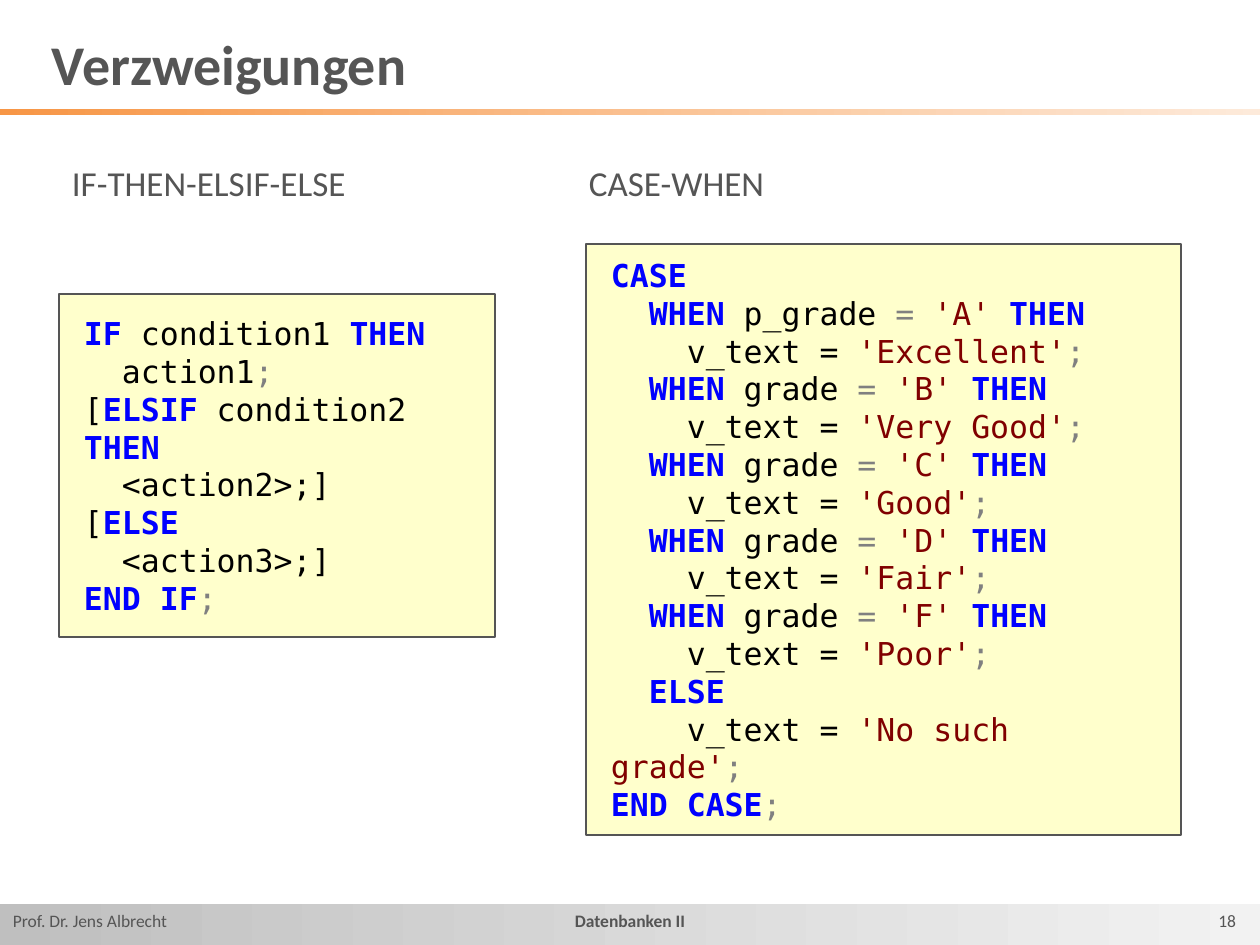
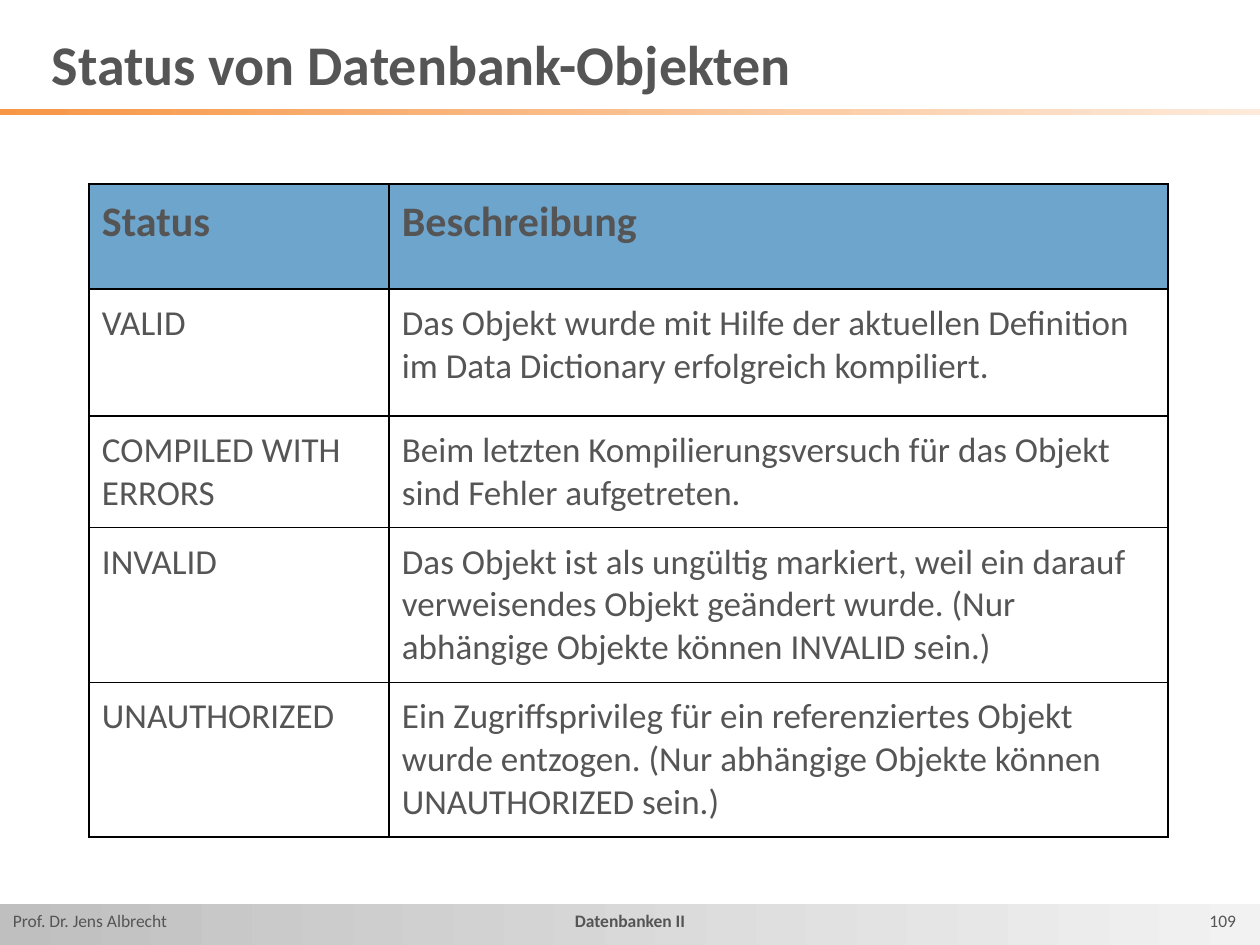
from lxml import etree
from pptx import Presentation
from pptx import util as u
from pptx.dml.color import RGBColor
from pptx.enum import shapes, text
from pptx.oxml import ns

PX_PER_INCH = 126
SLIDE_WIDTH, SLIDE_HEIGHT = 1260, 945

GREY, BLACK = "555555", "000000"
CODE_FILL, HEADER_FILL = "FFFFCC", "6EA5CC"
RULE_GRADIENT = ("F79646", "FDEADA")
FOOTER_GRADIENT = ("BFBFBF", "F2F2F2")
BODY_FONT, CODE_FONT = "Calibri", "DejaVu Sans Mono"

AUTHOR, COURSE = "Prof. Dr. Jens Albrecht", "Datenbanken II"
FOOTER_TABS = ((617, "ctr"), (1223, "r"))

PLAIN = {"color": BLACK}
KEYWORD = {"color": "0000FF", "bold": True}
STRING = {"color": "800000"}
SYMBOL = {"color": "808080"}

BRANCHES = {
    "title": "Verzweigungen",
    "number": 18,
    "if_label": "IF-THEN-ELSIF-ELSE",
    "case_label": "CASE-WHEN",
    "if_code": [
        [("IF", KEYWORD), (" condition1 ", PLAIN), ("THEN", KEYWORD)],
        [("  action1", PLAIN), (";", SYMBOL)],
        [("[", PLAIN), ("ELSIF", KEYWORD), (" condition2 ", PLAIN), ("THEN", KEYWORD)],
        [("  <action2>;]", PLAIN)],
        [("[", PLAIN), ("ELSE", KEYWORD)],
        [("  <action3>;]", PLAIN)],
        [("END IF", KEYWORD), (";", SYMBOL)],
    ],
    "grades": [
        ("p_grade", "A", "Excellent"),
        ("grade", "B", "Very Good"),
        ("grade", "C", "Good"),
        ("grade", "D", "Fair"),
        ("grade", "F", "Poor"),
    ],
    "fallback": "No such grade",
}

OBJECT_STATUS = {
    "title": "Status von Datenbank-Objekten",
    "number": 109,
    "rows": [
        ("Status", "Beschreibung"),
        ("VALID", "Das Objekt wurde mit Hilfe der aktuellen Definition im Data "
                  "Dictionary erfolgreich kompiliert."),
        ("COMPILED WITH ERRORS", "Beim letzten Kompilierungsversuch für das Objekt "
                                 "sind Fehler aufgetreten."),
        ("INVALID", "Das Objekt ist als ungültig markiert, weil ein darauf verweisendes "
                    "Objekt geändert wurde. (Nur abhängige Objekte können INVALID sein.)"),
        ("UNAUTHORIZED", "Ein Zugriffsprivileg für ein referenziertes Objekt wurde entzogen. "
                         "(Nur abhängige Objekte können UNAUTHORIZED sein.)"),
    ],
    "column_widths": (300, 779),
    "row_heights": (105, 127, 111, 154, 154),
}


def px(length):
    return u.Emu(round(length * u.Inches(1) / PX_PER_INCH))


def box(*lengths):
    return [px(length) for length in lengths]


def rgb(color):
    return RGBColor.from_string(color)


def write(frame, lines, size=20, font=BODY_FONT, color=GREY, bold=False,
          margins=(13, 6, 13, 6), anchor=text.MSO_ANCHOR.TOP, wrap=True):
    frame.word_wrap = wrap
    frame.vertical_anchor = anchor
    (frame.margin_left, frame.margin_top,
     frame.margin_right, frame.margin_bottom) = box(*margins)
    if isinstance(lines, str):
        lines = [[(lines, {})]]
    for index, line in enumerate(lines):
        paragraph = frame.add_paragraph() if index else frame.paragraphs[0]
        paragraph.alignment = text.PP_ALIGN.LEFT
        for words, style in line:
            run = paragraph.add_run()
            run.text = words
            run.font.size = u.Pt(size)
            run.font.name = font
            run.font.bold = style.get("bold", bold)
            run.font.color.rgb = rgb(style.get("color", color))


def add_rectangle(slide, bounds):
    rectangle = slide.shapes.add_shape(shapes.MSO_SHAPE.RECTANGLE, *box(*bounds))
    rectangle.shadow.inherit = False
    return rectangle


def add_band(slide, top, height, gradient):
    band = add_rectangle(slide, (0, top, SLIDE_WIDTH, height))
    band.line.fill.background()
    band.fill.gradient()
    band.fill.gradient_angle = 0
    for stop, color, position in zip(band.fill.gradient_stops, gradient, (0, 1)):
        stop.color.rgb = rgb(color)
        stop.position = position
    return band


def add_tabs(paragraph, tabs):
    tab_list = etree.SubElement(paragraph._p.get_or_add_pPr(), ns.qn("a:tabLst"))
    for position, alignment in tabs:
        etree.SubElement(tab_list, ns.qn("a:tab"), pos=str(px(position)), algn=alignment)


def add_slide(deck, content):
    slide = deck.slides.add_slide(deck.slide_layouts.get_by_name("Title Only"))
    footer = add_band(slide, 904, 41, FOOTER_GRADIENT)
    write(footer.text_frame,
          [[(f"{AUTHOR}\t", {}), (f"{COURSE}\t", {"bold": True}),
            (str(content["number"]), {})]], size=10)
    add_tabs(footer.text_frame.paragraphs[0], FOOTER_TABS)
    add_band(slide, 109, 6, RULE_GRADIENT)

    title = slide.shapes.title
    title.left, title.top, title.width, title.height = box(39, 21, 1017, 85)
    title.text_frame.auto_size = text.MSO_AUTO_SIZE.NONE
    write(title.text_frame, content["title"], size=32, bold=True,
          anchor=text.MSO_ANCHOR.MIDDLE)
    return slide


def add_label(slide, label, bounds):
    heading = slide.shapes.add_textbox(*box(*bounds))
    write(heading.text_frame, label, wrap=False)
    heading.text_frame.auto_size = text.MSO_AUTO_SIZE.SHAPE_TO_FIT_TEXT


def add_code(slide, code, bounds):
    listing = add_rectangle(slide, bounds)
    listing.fill.solid()
    listing.fill.fore_color.rgb = rgb(CODE_FILL)
    listing.line.color.rgb = rgb(GREY)
    listing.line.width = u.Pt(0.75)
    write(listing.text_frame, code, size=18, font=CODE_FONT,
          margins=(25, 13, 25, 13), anchor=text.MSO_ANCHOR.MIDDLE)


def assignment(value):
    return [("    v_text = ", PLAIN), (f"'{value}'", STRING), (";", SYMBOL)]


def case_code(grades, fallback):
    code = [[("CASE", KEYWORD)]]
    for variable, grade, meaning in grades:
        code.append([("  ", PLAIN), ("WHEN", KEYWORD), (f" {variable} ", PLAIN),
                     ("= ", SYMBOL), (f"'{grade}' ", STRING), ("THEN", KEYWORD)])
        code.append(assignment(meaning))
    code.append([("  ", PLAIN), ("ELSE", KEYWORD)])
    code.append(assignment(fallback))
    code.append([("END CASE", KEYWORD), (";", SYMBOL)])
    return code


def add_borders(cell):
    properties = cell._tc.get_or_add_tcPr()
    for side in ("lnL", "lnR", "lnT", "lnB"):
        border = etree.SubElement(properties, ns.qn(f"a:{side}"), w=str(u.Pt(1)))
        fill = etree.SubElement(border, ns.qn("a:solidFill"))
        etree.SubElement(fill, ns.qn("a:srgbClr"), val=BLACK)


def add_status_table(slide, rows, column_widths, row_heights):
    bounds = box(89, 184, sum(column_widths), sum(row_heights))
    table = slide.shapes.add_table(len(rows), len(column_widths), *bounds).table
    table.horz_banding = False
    for column, width in zip(table.columns, column_widths):
        column.width = px(width)
    for row, height in zip(table.rows, row_heights):
        row.height = px(height)
    for row_index, row in enumerate(rows):
        is_header = row_index == 0
        for column_index, words in enumerate(row):
            cell = table.cell(row_index, column_index)
            write(cell.text_frame, words, size=24 if is_header else 20, bold=is_header)
            (cell.margin_left, cell.margin_top,
             cell.margin_right, cell.margin_bottom) = box(13, 13, 13, 13)
            add_borders(cell)
            if is_header:
                cell.fill.solid()
                cell.fill.fore_color.rgb = rgb(HEADER_FILL)
            else:
                cell.fill.background()


def main():
    deck = Presentation()
    deck.slide_width, deck.slide_height = box(SLIDE_WIDTH, SLIDE_HEIGHT)

    branches = add_slide(deck, BRANCHES)
    add_code(branches, case_code(BRANCHES["grades"], BRANCHES["fallback"]),
             (586, 244, 595, 591))
    add_code(branches, BRANCHES["if_code"], (59, 294, 436, 343))
    add_label(branches, BRANCHES["if_label"], (59, 155, 301, 55))
    add_label(branches, BRANCHES["case_label"], (576, 155, 203, 55))

    status = add_slide(deck, OBJECT_STATUS)
    add_status_table(status, OBJECT_STATUS["rows"], OBJECT_STATUS["column_widths"],
                     OBJECT_STATUS["row_heights"])

    deck.save("out.pptx")


if __name__ == "__main__":
    main()
